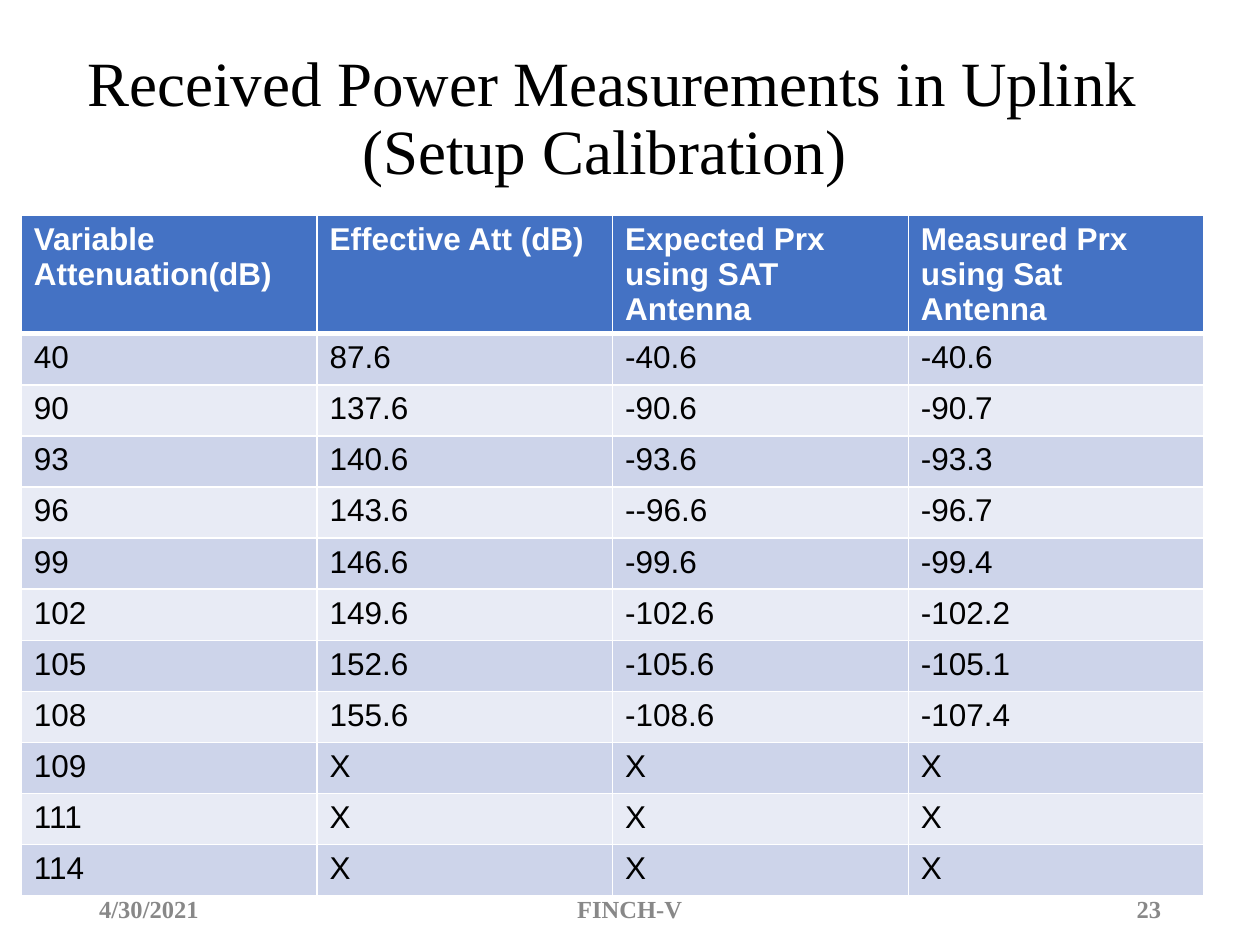
from lxml.etree import SubElement
from pptx import Presentation
from pptx.dml.color import RGBColor
from pptx.enum.text import MSO_ANCHOR, MSO_AUTO_SIZE, PP_ALIGN
from pptx.oxml.ns import qn
from pptx.util import Cm, Pt

COLORS = {
    "header": "4472C4",
    "odd": "CDD4EA",
    "even": "E8EBF5",
    "white": "FFFFFF",
    "black": "000000",
    "footer": "888888",
}
HEADINGS = [
    "Variable Attenuation(dB)",
    "Effective Att (dB)",
    "Expected Prx using SAT Antenna",
    "Measured Prx using Sat Antenna",
]
MEASUREMENTS = [
    ["40", "87.6", "-40.6", "-40.6"],
    ["90", "137.6", "-90.6", "-90.7"],
    ["93", "140.6", "-93.6", "-93.3"],
    ["96", "143.6", "--96.6", "-96.7"],
    ["99", "146.6", "-99.6", "-99.4"],
    ["102", "149.6", "-102.6", "-102.2"],
    ["105", "152.6", "-105.6", "-105.1"],
    ["108", "155.6", "-108.6", "-107.4"],
    ["109", "X", "X", "X"],
    ["111", "X", "X", "X"],
    ["114", "X", "X", "X"],
]


def rgb(key):
    """Return the named colour."""
    return RGBColor.from_string(COLORS[key])


def add_run(paragraph, text, font, size, color, bold=False):
    """Add one formatted run to a paragraph."""
    run = paragraph.add_run()
    run.text = text
    run.font.name = font
    run.font.size = Pt(size)
    run.font.bold = bold
    run.font.color.rgb = rgb(color)


def set_borders(cell, bottom, top):
    """Draw white borders around a cell, with widths in points."""
    properties = cell._tc.get_or_add_tcPr()
    for side, width in (("L", 1), ("R", 1), ("T", top), ("B", bottom)):
        line = SubElement(properties, qn(f"a:ln{side}"), w=str(Pt(width)))
        fill = SubElement(line, qn("a:solidFill"))
        SubElement(fill, qn("a:srgbClr"), val=COLORS["white"])


def format_title(slide, text):
    """Place the title placeholder and fill in its text."""
    title = slide.shapes.title
    title.left, title.top = Cm(0.43), Cm(1.27)
    title.width, title.height = Cm(23.83), Cm(2.31)
    frame = title.text_frame
    frame.auto_size = MSO_AUTO_SIZE.NONE
    frame.vertical_anchor = MSO_ANCHOR.MIDDLE
    paragraph = frame.paragraphs[0]
    paragraph.alignment = PP_ALIGN.CENTER
    paragraph.line_spacing = 0.9
    add_run(paragraph, text, "Times New Roman", 36, "black")


def add_measurements(slide):
    """Add the table of expected and measured received power."""
    rows = [HEADINGS] + MEASUREMENTS
    header_height, row_height = Cm(2.36), Cm(1.03)
    table = slide.shapes.add_table(
        len(rows), len(HEADINGS), Cm(0.43), Cm(4.34), Cm(23.84),
        header_height + row_height * len(MEASUREMENTS),
    ).table
    for column in table.columns:
        column.width = Cm(5.96)
    for r, values in enumerate(rows):
        is_header = r == 0
        table.rows[r].height = header_height if is_header else row_height
        fill = "header" if is_header else ("odd" if r % 2 else "even")
        for c, value in enumerate(values):
            cell = table.cell(r, c)
            set_borders(cell, 3 if is_header else 1, 3 if r == 1 else 1)
            cell.fill.solid()
            cell.fill.fore_color.rgb = rgb(fill)
            add_run(cell.text_frame.paragraphs[0], value, "Arial", 18,
                    "white" if is_header else "black", is_header)


def add_footer(slide, text, left, width, alignment):
    """Add one footer text on the bottom line of the slide."""
    box = slide.shapes.add_textbox(Cm(left), Cm(17.8), Cm(width), Cm(1.02))
    frame = box.text_frame
    frame.word_wrap = True
    frame.vertical_anchor = MSO_ANCHOR.MIDDLE
    paragraph = frame.paragraphs[0]
    paragraph.alignment = alignment
    add_run(paragraph, text, "Times New Roman", 14, "footer", True)


def main():
    """Build and save the slide."""
    presentation = Presentation()
    presentation.slide_width, presentation.slide_height = Cm(25.4), Cm(19.05)
    slide = presentation.slides.add_slide(presentation.slide_layouts[5])
    add_measurements(slide)
    format_title(
        slide, "Received Power Measurements in Uplink (Setup Calibration) ")
    add_footer(slide, "4/30/2021", 1.75, 5.72, PP_ALIGN.LEFT)
    add_footer(slide, "FINCH-V", 8.41, 8.57, PP_ALIGN.CENTER)
    add_footer(slide, "23", 17.94, 5.72, PP_ALIGN.RIGHT)
    presentation.save("out.pptx")


if __name__ == "__main__":
    main()
